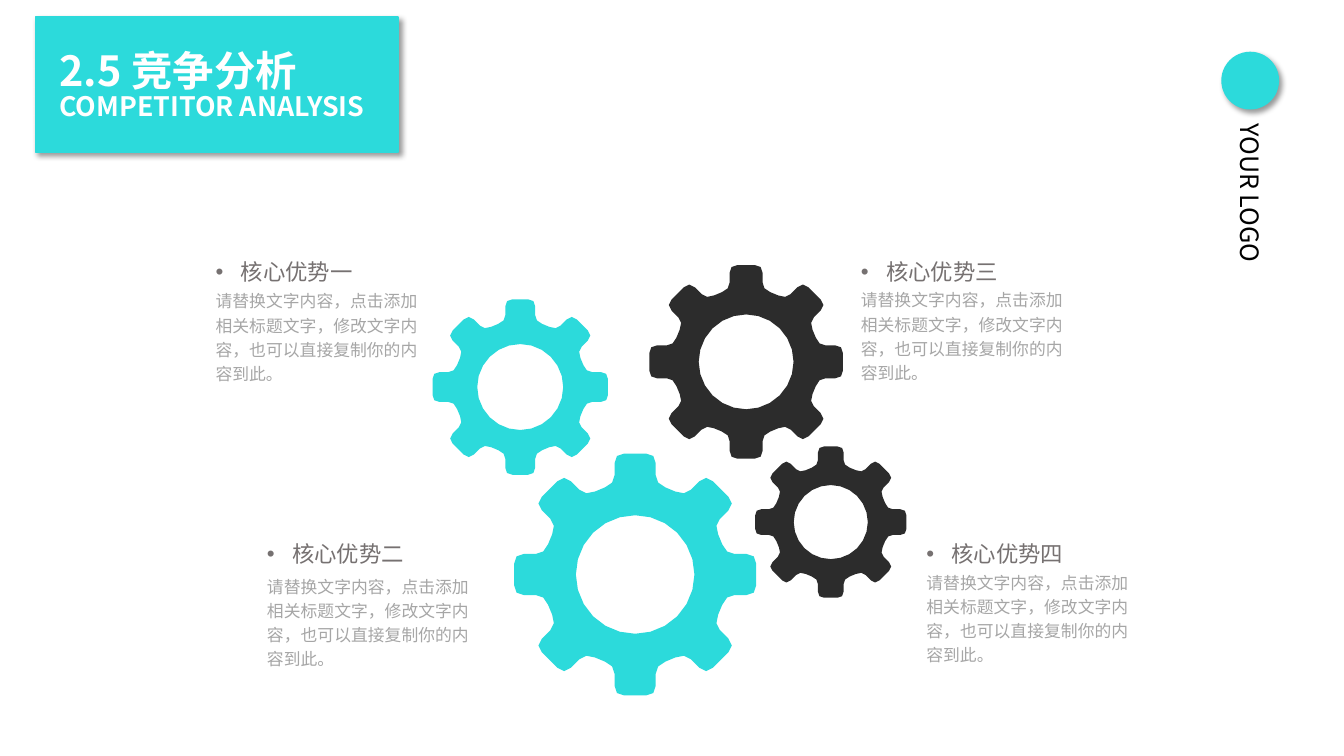
from math import cos, sin, pi

from lxml import etree
from pptx import Presentation
from pptx.dml.color import RGBColor
from pptx.enum.shapes import MSO_SHAPE as SHAPE
from pptx.enum.text import MSO_ANCHOR as ANCHOR, MSO_AUTO_SIZE as FIT, PP_ALIGN as ALIGN
from pptx.oxml.ns import qn
from pptx.util import Emu, Inches, Pt

TEAL = RGBColor(0x2C, 0xDA, 0xDB)
DARK = RGBColor(0x2C, 0x2C, 0x2C)
GRAY = RGBColor(0x76, 0x71, 0x71)
LIGHT = RGBColor(0xA6, 0xA6, 0xA6)
WHITE = RGBColor(0xFF, 0xFF, 0xFF)
BLACK = RGBColor(0, 0, 0)
FONT = "Noto Sans CJK SC"

TITLE = [("2.5 竞争分析", 29.6, 38.1), ("COMPETITOR ANALYSIS", 19.1, 19.1)]
TAG = "YOUR LOGO"
DETAIL = "请替换文字内容，点击添加相关标题文字，修改文字内容，也可以直接复制你的内容到此。"
ADVANTAGES = [
    ("核心优势一", 2.04, 2.46, 0.34),
    ("核心优势二", 2.55, 5.26, 0.37),
    ("核心优势三", 8.44, 2.46, 0.33),
    ("核心优势四", 9.09, 5.26, 0.33),
]
GEARS = [
    (8.24, 5.18, 0.75, DARK),
    (7.4, 3.59, 0.96, DARK),
    (6.3, 5.7, 1.2, TEAL),
    (5.16, 3.84, 0.87, TEAL),
]
TEETH = 8
HOLE = 0.49
HOLE_SIDES = 24
HALF_TOOTH = [(0.25, 0.72), (0.19, 0.76), (0.17, 0.82),
              (0.17, 0.92), (0.15, 0.98), (0.09, 1)]


def gear_outline():
    tooth = [(-u, v) for u, v in HALF_TOOTH] + HALF_TOOTH[::-1]
    turns = [2 * pi * k / TEETH for k in range(TEETH)]
    return [(u * cos(a) + v * sin(a), u * sin(a) - v * cos(a))
            for a in turns for u, v in tooth]


def add_gear(s, cx, cy, radius, color):
    def place(points):
        return [(Inches(cx + radius * x), Inches(cy + radius * y)) for x, y in points]

    rim = place(gear_outline())
    angles = [-2 * pi * k / HOLE_SIDES for k in range(HOLE_SIDES)]
    hole = place([(HOLE * cos(a), HOLE * sin(a)) for a in angles])
    builder = s.shapes.build_freeform(*rim[0], scale=1.0)
    builder.add_line_segments(rim[1:], close=True)
    builder.move_to(*hole[0])
    builder.add_line_segments(hole[1:], close=True)
    sp = builder.convert_to_shape()
    sp.shadow.inherit = False
    sp.fill.solid()
    sp.fill.fore_color.rgb = color
    sp.line.fill.background()


def style(p, size, color, bold=False):
    for r in p.runs:
        f = r.font
        f.name, f.size, f.bold = FONT, Pt(size), bold
        f.color.rgb = color
        ea = etree.SubElement(r._r.get_or_add_rPr(), qn("a:ea"))
        ea.set("typeface", FONT)


def add_text(s, text, box, size, color):
    sp = s.shapes.add_textbox(*map(Inches, box))
    tf = sp.text_frame
    tf.word_wrap = True
    tf.text = text
    p = tf.paragraphs[0]
    style(p, size, color)
    return sp, p


def add_bullet(p):
    pPr = p._p.get_or_add_pPr()
    pPr.set("marL", str(Inches(0.25)))
    pPr.set("indent", str(-Inches(0.25)))
    etree.SubElement(pPr, qn("a:buFont")).set("typeface", "Arial")
    etree.SubElement(pPr, qn("a:buChar")).set("char", "•")


def add_raised(s, kind, box):
    sp = s.shapes.add_shape(kind, *map(Inches, box))
    sp.shadow.inherit = False
    sp.fill.solid()
    sp.fill.fore_color.rgb = TEAL
    sp.line.color.rgb = TEAL
    sp.line.width = Pt(1)
    effects = sp._element.spPr.find(qn("a:effectLst"))
    shadow = etree.SubElement(effects, qn("a:outerShdw"), blurRad=str(Pt(4)),
                              dist=str(Pt(3)), dir=str(45 * 60000),
                              algn="tl", rotWithShape="0")
    tint = etree.SubElement(shadow, qn("a:srgbClr"), val=str(BLACK))
    etree.SubElement(tint, qn("a:alpha"), val="40000")
    return sp


def add_title(s, panel):
    title = s.shapes.title
    title.left, title.top, title.width, title.height = map(Inches, (0.59, 0.41, 3.23, 0.85))
    tf = title.text_frame
    tf.text = "\n".join(text for text, _, _ in TITLE)
    tf.word_wrap = True
    tf.auto_size = FIT.NONE
    tf.vertical_anchor = ANCHOR.TOP
    tf.margin_left = tf.margin_right = tf.margin_top = Emu(0)
    tf.margin_bottom = Inches(0.05)
    for p, (_, size, spacing) in zip(tf.paragraphs, TITLE):
        p.alignment = ALIGN.LEFT
        p.line_spacing = Pt(spacing)
        p.space_before = Pt(0)
        style(p, size, WHITE, True)
    panel._element.addnext(title._element)


def main():
    prs = Presentation()
    prs.slide_width, prs.slide_height = Inches(13.33), Inches(7.5)
    s = prs.slides.add_slide(prs.slide_layouts[5])

    for gear in GEARS:
        add_gear(s, *gear)

    for heading, left, top, height in ADVANTAGES:
        _, p = add_text(s, heading, (left, top, 1.8, height), 16, GRAY)
        p.line_spacing = Pt(23)
        p.space_before = Pt(10)
        add_bullet(p)
        _, p = add_text(s, DETAIL, (left, top + height, 2.2, 0.64), 12, LIGHT)
        p.alignment = ALIGN.JUSTIFY
        p.line_spacing = 1.2

    add_title(s, add_raised(s, SHAPE.RECTANGLE, (0.35, 0.17, 3.6, 1.34)))
    add_raised(s, SHAPE.OVAL, (12.12, 0.52, 0.56, 0.56))
    tag, _ = add_text(s, TAG, (11.36, 1.97, 2.09, 0.4), 18, BLACK)
    tag.rotation = 90

    prs.save("out.pptx")


if __name__ == "__main__":
    main()
